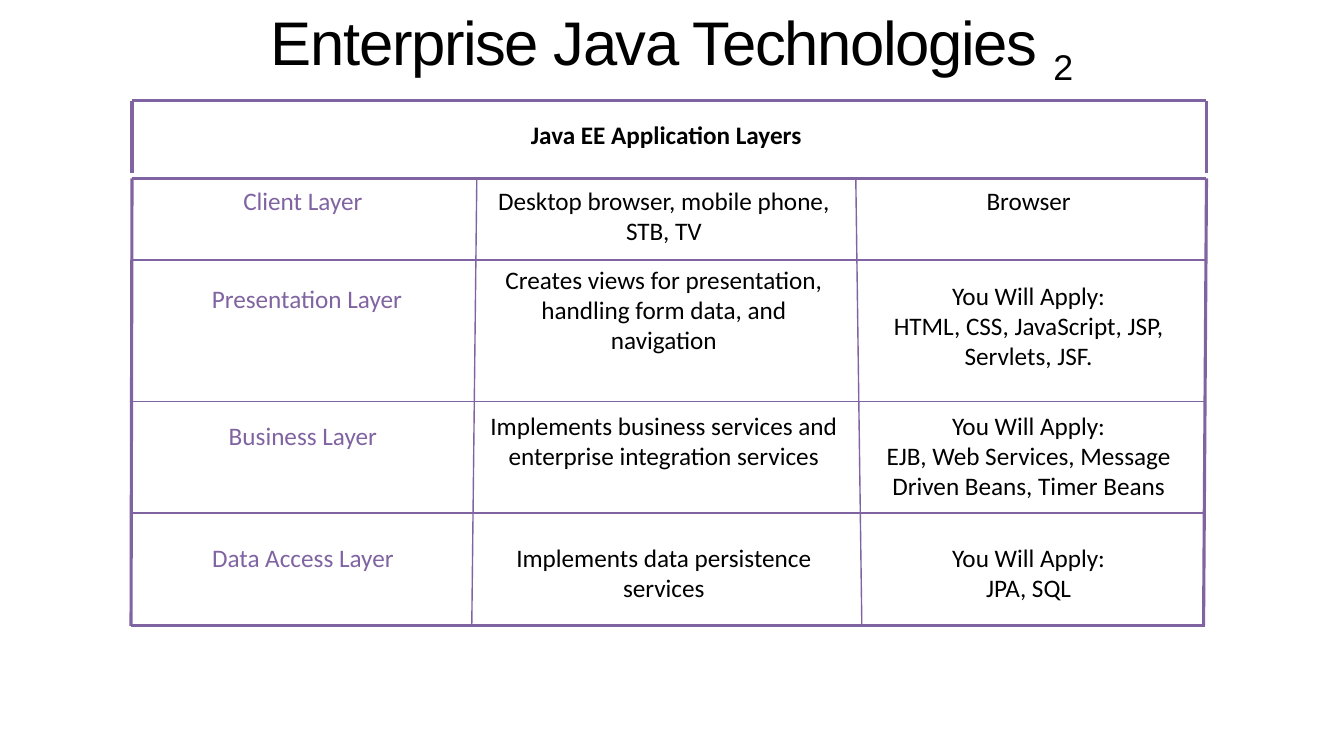
from lxml import etree
from pptx import Presentation
from pptx.dml.color import RGBColor
from pptx.enum.shapes import MSO_CONNECTOR
from pptx.enum.text import MSO_ANCHOR, MSO_AUTO_SIZE, PP_ALIGN
from pptx.oxml.ns import qn
from pptx.util import Pt

STRAIGHT = MSO_CONNECTOR.STRAIGHT
CENTER = PP_ALIGN.CENTER
MIDDLE = MSO_ANCHOR.MIDDLE
GROW = MSO_AUTO_SIZE.SHAPE_TO_FIT_TEXT
NONE = MSO_AUTO_SIZE.NONE

PURPLE, BLACK = "8064A2", "000000"
TITLE, PART = "Enterprise Java Technologies ", "2"
HEAD = "Java EE Application Layers"
APPLY = "You Will Apply:"
ROWS = [
    [(129.6, ["Client Layer"]),
     (129.6, ["Desktop browser, mobile phone, STB, TV"]),
     (129.6, ["Browser"])],
    [(199.4, ["Presentation Layer"]),
     (185.8, ["Creates views for presentation, handling form data, and navigation"]),
     (197.3, [APPLY, "HTML, CSS, JavaScript, JSP, Servlets, JSF."])],
    [(297.4, ["Business Layer"]),
     (290.2, ["Implements business services and enterprise integration services"]),
     (290.2, [APPLY, "EJB, Web Services, Message Driven Beans, Timer Beans"])],
    [(384.5, ["Data Access Layer"]),
     (384.5, ["Implements data persistence services"]),
     (384.5, [APPLY, "JPA, SQL"])],
]
COLS = [(100.1, 232.6, PURPLE), (344.2, 259.9, BLACK), (615.6, 238.3, BLACK)]
WIDE = {"Presentation Layer": 238.3}
LINE_H = 22
PAD = 2.88

LEFT, RIGHT = 94.3, 861.8
LOW_L, LOW_R = 93.6, 860.4
TOP, HEAD_END, BODY, END = 72, 123.8, 127.4, 447.1
THICK, THIN = 2.25, 1
RULES = [
    (LEFT, RIGHT, TOP, THICK),
    (LEFT, RIGHT, BODY, THICK),
    (LEFT, RIGHT, 185.8, THIN),
    (LOW_L, LOW_R, 286.6, THIN),
    (LOW_L, LOW_R, 366.5, THIN),
    (LOW_L, LOW_R, END, THICK),
]
SIDES = [(LEFT, LOW_L, THICK), (340.6, 337, THIN),
         (611.3, 615.6, THIN), (RIGHT, 859.7, THICK)]


def color(code):
    return RGBColor.from_string(code)


def add_run(para, text, size, font, code, bold=False):
    run = para.add_run()
    run.text = text
    run.font.size = Pt(size)
    run.font.name = font
    run.font.bold = bold
    run.font.color.rgb = color(code)
    return run


def add_line(slide, x1, y1, x2, y2, width):
    line = slide.shapes.add_connector(STRAIGHT, Pt(x1), Pt(y1), Pt(x2), Pt(y2))
    line.line.color.rgb = color(PURPLE)
    line.line.width = Pt(width)
    etree.SubElement(line._element.spPr, qn("a:effectLst"))


def add_text(slide, x, y, w, h, lines, code, bold=False):
    frame = slide.shapes.add_textbox(Pt(x), Pt(y), Pt(w), Pt(h)).text_frame
    frame.word_wrap = True
    frame.auto_size = GROW
    frame.margin_left = frame.margin_right = Pt(PAD)
    frame.margin_top = frame.margin_bottom = Pt(PAD)
    for i, text in enumerate(lines):
        para = frame.add_paragraph() if i else frame.paragraphs[0]
        para.alignment = CENTER
        add_run(para, text, 18, "Calibri", code, bold)


def add_title(slide):
    title = slide.shapes.title
    title.left, title.top, title.width, title.height = Pt(48), Pt(0), Pt(864), Pt(65.5)
    frame = title.text_frame
    frame.auto_size = NONE
    frame.vertical_anchor = MIDDLE
    para = frame.paragraphs[0]
    para.alignment = CENTER
    for text in (TITLE, PART):
        props = add_run(para, text, 44, "Arial", BLACK)._r.get_or_add_rPr()
        props.set("spc", "-100")
    props.set("baseline", "-25000")


def main():
    deck = Presentation()
    deck.slide_width, deck.slide_height = Pt(960), Pt(540)
    slide = deck.slides.add_slide(deck.slide_layouts[5])
    add_title(slide)
    for x1, x2, y, width in RULES:
        add_line(slide, x1, y, x2, y, width)
    for x1, x2, width in SIDES:
        add_line(slide, x1, BODY, x2, END, width)
    for x in (LEFT, RIGHT):
        add_line(slide, x, TOP, x, HEAD_END, THICK)
    add_text(slide, 92.2, 82.1, 767.5, 31.7, [HEAD], BLACK, True)
    for row in ROWS:
        for (y, lines), (x, w, code) in zip(row, COLS):
            w = WIDE.get(lines[0], w)
            count = sum(1 + len(text) // 34 for text in lines)
            add_text(slide, x, y, w, count * LINE_H + 2 * PAD, lines, code)
    deck.save("out.pptx")


if __name__ == "__main__":
    main()
